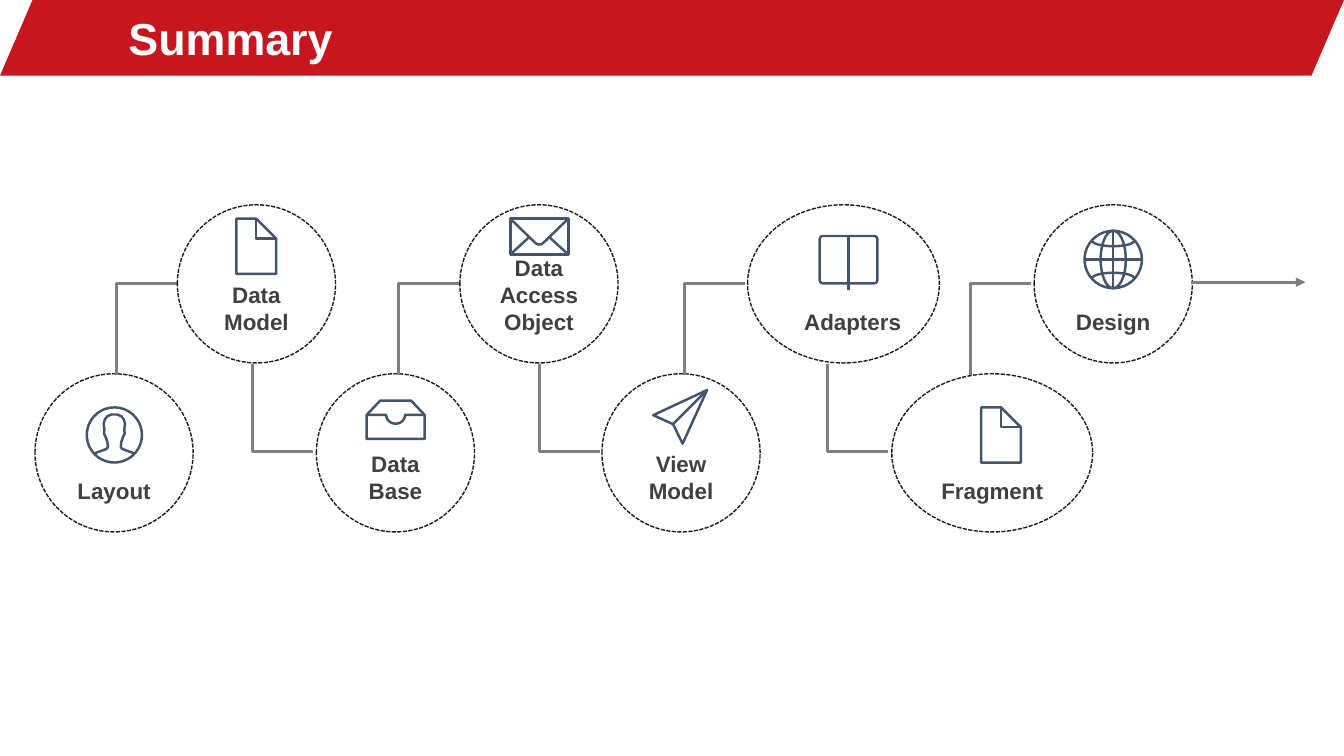
from dataclasses import dataclass
from math import cos, radians, sin
from typing import Any, NamedTuple

from lxml.etree import SubElement
from pptx import Presentation
from pptx.dml.color import RGBColor as Rgb
from pptx.enum.dml import MSO_LINE as Dash
from pptx.enum.shapes import MSO_CONNECTOR as Link, MSO_SHAPE as Kind
from pptx.enum.text import MSO_ANCHOR as Anchor, PP_ALIGN as Align
from pptx.oxml.ns import qn
from pptx.util import Pt

Point = tuple[float, float]


@dataclass(frozen=True)
class Theme:
    face: str = "Arial"
    red: Rgb = Rgb(0xC8, 0x16, 0x1E)
    white: Rgb = Rgb(0xFF, 0xFF, 0xFF)
    text: Rgb = Rgb(0x40, 0x40, 0x40)
    rim: Rgb = Rgb(0x1B, 0x1C, 0x21)
    ink: Rgb = Rgb(0x44, 0x54, 0x6A)
    grey: Rgb = Rgb(0x80, 0x80, 0x80)
    head: float = 32
    label: float = 16


class Path(NamedTuple):
    dots: list[Point]
    shut: bool = False


@dataclass(frozen=True)
class Step:
    name: str
    left: float
    icon: str
    spot: Point  # where the icon's local zero lies
    stem: float = 0  # x of the upright leading to the next step
    width: float = 113
    pad: Point = (7.2, 7.2)  # left and right text inset


T = Theme()
HIGH, LOW, SIZE = 146.3, 267, 113
REACH = 43.2


def arc(x: float, y: float, rx: float, ry: float, a: int, b: int) -> list[Point]:
    """Points on an ellipse, from angle a to angle b."""
    turns = [radians(a + (b - a) * i / 36) for i in range(37)]
    return [(x + rx * cos(t), y + ry * sin(t)) for t in turns]


def ring(rx: float, ry: float) -> Path:
    return Path(arc(0, 0, rx, ry, 0, 350), True)


def box(w: float, h: float, cut: float = 0) -> Path:
    if not cut:
        return Path([(0, 0), (w, 0), (w, h), (0, h)], True)
    ends = [(w - cut, cut, -90), (w - cut, h - cut, 0), (cut, h - cut, 90), (cut, cut, 180)]
    return Path([p for x, y, a in ends for p in arc(x, y, cut, cut, a, a + 90)], True)


# Icons, as strokes in points
HALF = [(2, -14.6), (5, -13.4), (6.8, -11), (7.6, -8), (7.1, -4), (7.4, -1),
        (6, 2), (4.9, 5.2), (4.6, 8.5), (5.6, 10), (13.8, 13)]
ICONS: dict[str, list[Path]] = {
    "user": [ring(19.7, 19.7), Path([(-x, y) for x, y in HALF[::-1]] + HALF)],
    "page": [Path([(0, 0), (14.2, 0), (28.4, 14.2), (28.4, 39.4), (0, 39.4)], True),
             Path([(14.2, 0), (14.2, 14.2), (28.4, 14.2)])],
    "tray": [Path([(0, 10.2), (9.6, 0), (31.8, 0), (41.4, 10.2), (41.4, 27.3), (0, 27.3)], True),
             Path([(0, 10.2), *arc(20.7, 10.2, 6.7, 6.2, 180, 0), (41.4, 10.2)])],
    "mail": [box(41.4, 25.6),
             Path([(0, 0), (18, 17.5), (19.5, 18.4), (21.9, 18.4), (23.4, 17.5), (41.4, 0)]),
             Path([(0, 25.6), (13.5, 13.2)]), Path([(41.4, 25.6), (27.9, 13.2)])],
    "plane": [Path([(2, 20), (16.2, 26.4), (23, 40.3), (40.5, 2)], True),
              Path([(16.2, 26.4), (40.5, 2)])],
    "book": [box(41.2, 33.8, 2.4), Path([(20.6, 0.5), (20.6, 38.5)])],
    "globe": [ring(20.5, 20.5), ring(9, 20.5),
              Path([(-20.5, 0), (20.5, 0)]), Path([(0, -20.5), (0, 20.5)]),
              Path(arc(0, -13.3, 14.8, 3.8, 180, 0)), Path(arc(0, 13.3, 14.8, 3.8, 180, 360))],
}

STEPS = [
    Step("Layout", 25, "user", (81.7, 310.7), 83.5),
    Step("Data Model", 126.7, "page", (168.9, 156.2), 180.7),
    Step("Data Base", 226, "tray", (261.9, 286.2), 284.4),
    Step("Data Access Object", 328.5, "mail", (364.5, 156.2), 385.2),
    Step("View Model", 430, "plane", (464.6, 276.6), 488.9),
    Step("Adapters", 534, "book", (585.5, 168.6), 591.1, 137, (14, 1)),
    Step("Fragment", 637, "page", (700.9, 291), 693.4, 143.5),
    Step("Design", 738.7, "globe", (795.2, 185.4)),
]


def put(item: Any, form: dict[str, Any]) -> None:
    for key, value in form.items():
        setattr(item, key, value)


def write(frame: Any, text: str, size: float, tint: Rgb, align: Align) -> None:
    part = frame.paragraphs[0]
    part.alignment = align
    run = part.add_run()
    run.text = text
    put(run.font, {"name": T.face, "size": Pt(size), "bold": True})
    run.font.color.rgb = tint


def stroke(item: Any, tint: Rgb, width: float) -> None:
    item.line.color.rgb = tint
    item.line.width = Pt(width)


def banner(shapes: Any) -> None:
    item = shapes.add_shape(Kind.PARALLELOGRAM, 0, 0, Pt(960), Pt(54))
    item.adjustments[0] = 0.43
    item.shadow.inherit = False
    item.fill.solid()
    item.fill.fore_color.rgb = T.red
    item.line.fill.background()


def bubble(shapes: Any, step: Step, top: float) -> None:
    item = shapes.add_shape(Kind.OVAL, Pt(step.left), Pt(top), Pt(step.width), Pt(SIZE))
    item.shadow.inherit = False
    item.fill.background()
    stroke(item, T.rim, 1)
    item.line.dash_style = Dash.SQUARE_DOT
    put(item.text_frame, {"word_wrap": True, "vertical_anchor": Anchor.BOTTOM,
                          "margin_left": Pt(step.pad[0]), "margin_right": Pt(step.pad[1])})
    write(item.text_frame, step.name, T.label, T.text, Align.CENTER)


def wire(shapes: Any, kind: Link, start: Point, end: Point) -> Any:
    item = shapes.add_connector(kind, *(Pt(v) for v in start + end))
    stroke(item, T.grey, 2.25)
    SubElement(item._element.spPr, qn("a:effectLst"))
    if kind == Link.ELBOW:  # a single corner
        item._element.spPr.find(qn("a:prstGeom")).set("prst", "bentConnector2")
    return item


def draw(shapes: Any, step: Step) -> None:
    x, y = step.spot
    pen = None
    for path in ICONS[step.icon]:
        first, *rest = [(Pt(x + a), Pt(y + b)) for a, b in path.dots]
        if pen is None:
            pen = shapes.build_freeform(*first)
        else:
            pen.move_to(*first)
        pen.add_line_segments(rest, close=path.shut)
    item = pen.convert_to_shape()
    item.shadow.inherit = False
    item.fill.background()
    stroke(item, T.ink, 1.75)


def main() -> None:
    deck = Presentation()
    put(deck, {"slide_width": Pt(960), "slide_height": Pt(540)})
    shapes = deck.slides.add_slide(deck.slide_layouts[6]).shapes

    # Header
    banner(shapes)
    title = shapes.add_textbox(Pt(84.7), Pt(3.6), Pt(557), Pt(46.8)).text_frame
    put(title, {"word_wrap": True, "vertical_anchor": Anchor.MIDDLE})
    write(title, "Summary", T.head, T.white, Align.LEFT)

    # Steps, low and high in turn, each tied to the next
    for i, step in enumerate(STEPS):
        high = i % 2 == 1
        bubble(shapes, step, HIGH if high else LOW)
        if step.stem:
            bend, end = (322.6, 260) if high else (202.6, 267.6)
            wire(shapes, Link.ELBOW, (step.stem + REACH, bend), (step.stem, end))
        draw(shapes, step)

    # Arrow out of the last step
    out = wire(shapes, Link.STRAIGHT, (851, 201.6), (932.4, 201.6))
    SubElement(out.line._get_or_add_ln(), qn("a:tailEnd"), type="triangle")

    deck.save("out.pptx")


if __name__ == "__main__":
    main()
